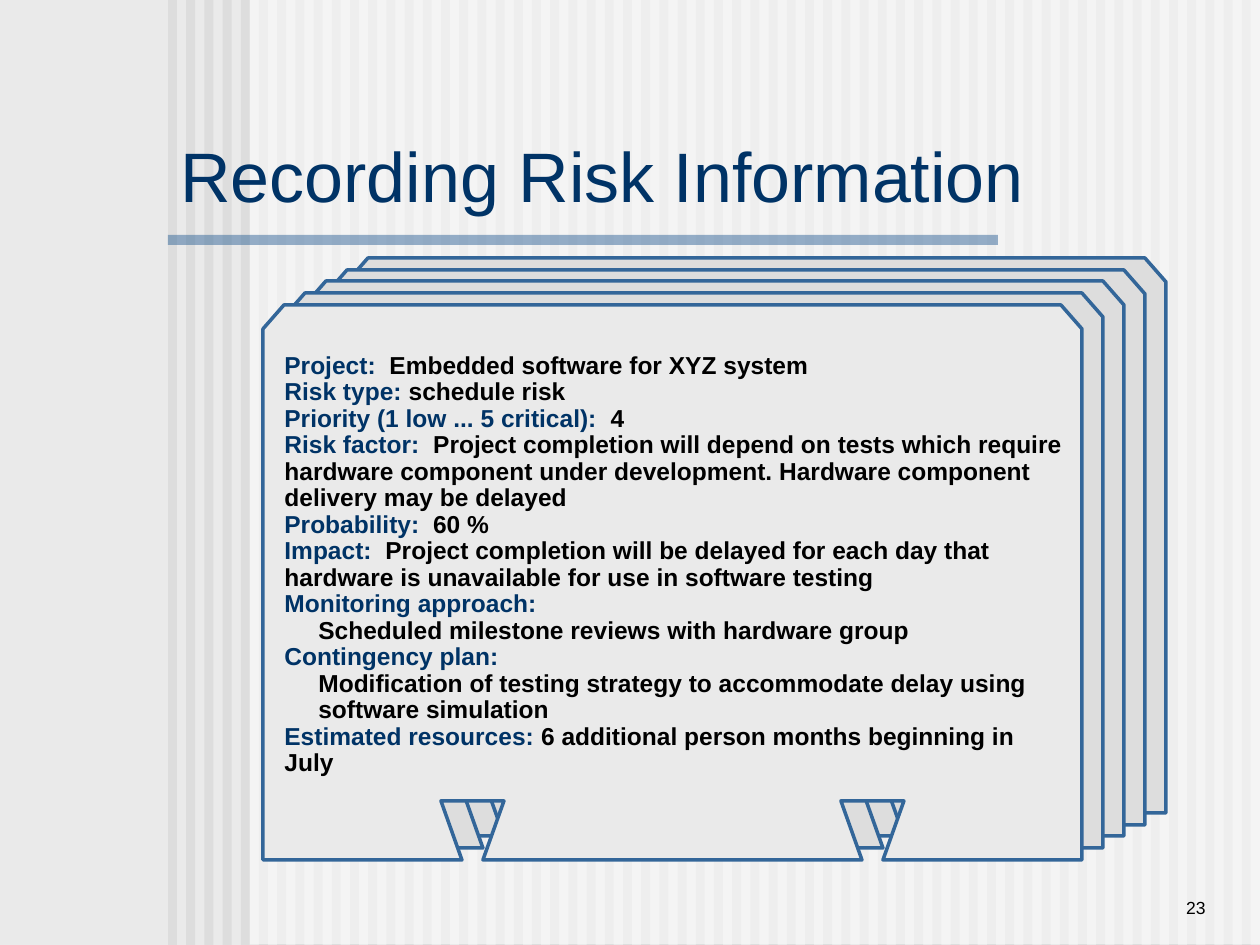
from lxml.etree import SubElement
from pptx import Presentation
from pptx.dml.color import RGBColor
from pptx.enum.shapes import MSO_SHAPE as Preset
from pptx.enum.text import MSO_ANCHOR as Anchor, MSO_AUTO_SIZE as AutoSize, PP_ALIGN as Align
from pptx.oxml.ns import qn
from pptx.util import Emu, Pt

SCALE = 914400 / 126
COLORS = {
    "paper": "EAEAEA",
    "stripe": "DDDDDD",
    "veil": "FFFFFF",
    "steel": "336699",
    "navy": "003366",
    "ink": "000000",
}
STRIPES, STRIPE_PITCH = 60, 18.2
CARDS, CARD_DX, CARD_DY = 5, 21, 11.8
CARD_W, CARD_H = 819, 555
INDENT = 34

RISK_LINES = [
    ("Project:", "  Embedded software for XYZ system"),
    ("Risk type:", " schedule risk"),
    ("Priority (1 low ... 5 critical):", "  4"),
    ("Risk factor:", "  Project completion will depend on tests which require"),
    ("", "hardware component under development. Hardware component"),
    ("", "delivery may be delayed"),
    ("Probability:", "  60 %"),
    ("Impact: ", " Project completion will be delayed for each day that"),
    ("", "hardware is unavailable for use in software testing"),
    ("Monitoring approach:", ""),
    ("", "Scheduled milestone reviews with hardware group", INDENT),
    ("Contingency plan:", ""),
    ("", "Modification of testing strategy to accommodate delay using", INDENT),
    ("", "software simulation", INDENT),
    ("Estimated resources:", " 6 additional person months beginning in July"),
]


def px(length):
    return Emu(round(length * SCALE))


def rgb(name):
    return RGBColor.from_string(COLORS[name])


class RiskSlide:
    font = "Arial"

    def __init__(self, deck):
        self.slide = deck.slides.add_slide(deck.slide_layouts[6])
        background = self.slide.background.fill
        background.solid()
        background.fore_color.rgb = rgb("paper")

    def paint(self, shape, color, alpha=None):
        shape.shadow.inherit = False
        shape.fill.solid()
        shape.fill.fore_color.rgb = rgb(color)
        if alpha is not None:
            tint = shape.fill._xPr.find(qn("a:solidFill"))[0]
            SubElement(tint, qn("a:alpha")).set("val", str(alpha * 1000))

    def bar(self, left, top, width, height, color, alpha=None):
        bar = self.slide.shapes.add_shape(
            Preset.RECTANGLE, px(left), px(top), px(width), px(height))
        self.paint(bar, color, alpha)
        bar.line.fill.background()

    def card(self, left, top, color):
        half = [(199, CARD_H), (0, CARD_H), (0, 24), (21, 0)]
        notch = [(178, CARD_H - 59), (241, CARD_H - 59), (220, CARD_H)]
        mirrored = [(CARD_W - x, y) for x, y in reversed(half)]
        far_notch = [(CARD_W - x, y) for x, y in notch]
        outline = half + mirrored + far_notch + notch[::-1]
        points = [(left + x, top + y) for x, y in outline]
        builder = self.slide.shapes.build_freeform(*points[0], scale=SCALE)
        builder.add_line_segments(points[1:], close=True)
        card = builder.convert_to_shape()
        self.paint(card, color)
        card.line.color.rgb = rgb("steel")
        card.line.width = Pt(2)

    def frame(self, left, top, width, height, anchor=Anchor.TOP, wrap=True):
        box = self.slide.shapes.add_textbox(px(left), px(top), px(width), px(height))
        frame = box.text_frame
        frame.word_wrap = wrap
        frame.vertical_anchor = anchor
        return frame

    def style(self, run, size, color, bold=False):
        run.font.name = self.font
        run.font.size = Pt(size)
        run.font.bold = bold
        run.font.color.rgb = rgb(color)

    def label(self, text, left, top, width, height, size, color, anchor, align=Align.LEFT):
        frame = self.frame(left, top, width, height, anchor)
        frame.text = text
        paragraph = frame.paragraphs[0]
        paragraph.alignment = align
        self.style(paragraph.runs[0], size, color)

    def record(self, lines, left, top, width, height):
        frame = self.frame(left, top, width, height, wrap=False)
        frame.auto_size = AutoSize.SHAPE_TO_FIT_TEXT
        for number, (field, value, *indent) in enumerate(lines):
            paragraph = frame.add_paragraph() if number else frame.paragraphs[0]
            paragraph.line_spacing = 0.9
            if indent:
                paragraph._p.get_or_add_pPr().set("marL", str(px(indent[0])))
            for text, color in ((field, "navy"), (value, "ink")):
                if text:
                    run = paragraph.add_run()
                    run.text = text
                    self.style(run, 14, color, bold=True)


def main():
    deck = Presentation()
    deck.slide_width, deck.slide_height = px(1260), px(945)
    page = RiskSlide(deck)

    for i in range(STRIPES):
        page.bar(168 + i * STRIPE_PITCH, 0, 9, 945, "stripe")
    page.bar(250, -1, 1010, 945, "veil", alpha=50)
    page.bar(168, 235, 830, 10, "steel", alpha=50)

    for depth in reversed(range(CARDS)):
        page.card(263 + depth * CARD_DX, 305 - depth * CARD_DY,
                  "stripe" if depth else "paper")
    page.record(RISK_LINES, 272, 347, 811, 465)

    page.label("Recording Risk Information", 168, 136, 892, 78, 40, "navy", Anchor.MIDDLE)
    page.label("23", 1040, 861, 178, 63, 10, "ink", Anchor.BOTTOM, Align.RIGHT)
    deck.save("out.pptx")


if __name__ == "__main__":
    main()
